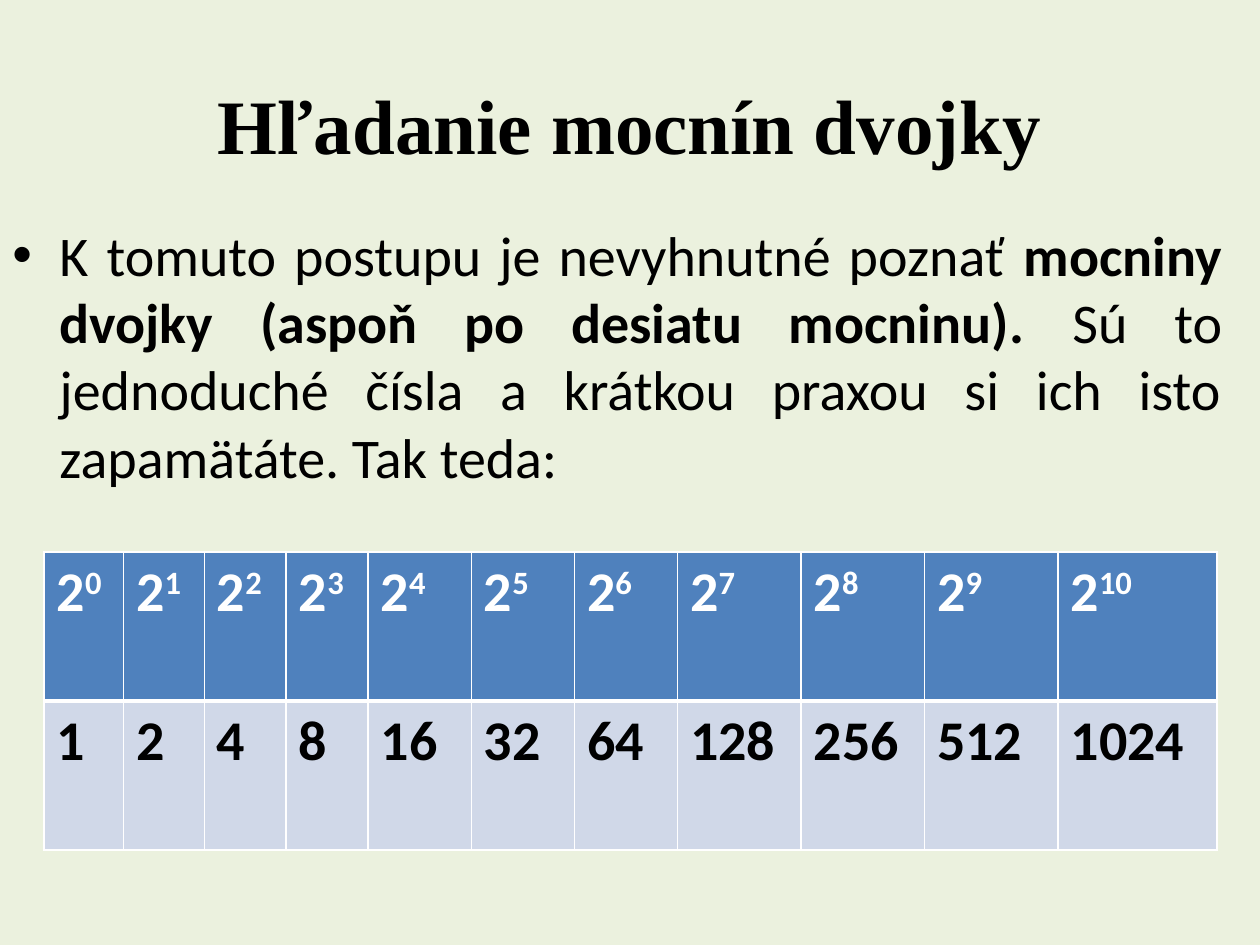
from typing import NamedTuple

from lxml import etree
from pptx import Presentation
from pptx.dml.color import RGBColor
from pptx.enum.text import MSO_ANCHOR, MSO_AUTO_SIZE, PP_ALIGN
from pptx.oxml.ns import qn
from pptx.util import Cm, Pt

CENTER = PP_ALIGN.CENTER
JUSTIFY = PP_ALIGN.JUSTIFY
MIDDLE = MSO_ANCHOR.MIDDLE
FIXED = MSO_AUTO_SIZE.NONE

BLACK = RGBColor(0x00, 0x00, 0x00)
WHITE = RGBColor(0xFF, 0xFF, 0xFF)
CREAM = RGBColor(0xEB, 0xF1, 0xDE)
BLUE = RGBColor(0x4F, 0x81, 0xBD)
PALE = RGBColor(0xD0, 0xD8, 0xE8)


class Power(NamedTuple):
    exp: int
    width: float


class Look(NamedTuple):
    fill: RGBColor
    ink: RGBColor
    top: float
    bottom: float


WIDTHS = [1.6, 1.63, 1.65, 1.65, 2.08, 2.08, 2.08, 2.49, 2.49, 2.69, 3.2]
POWERS = [Power(exp, width) for exp, width in enumerate(WIDTHS)]
HEAD = Look(BLUE, WHITE, 1, 3)
BODY = Look(PALE, BLACK, 3, 1)
ROW = 3.0


def style(para, size: float, ink: RGBColor, name: str = "Calibri") -> None:
    para.font.size = Pt(size)
    para.font.name = name
    para.font.color.rgb = ink


def edge(cell, side: str, width: float) -> None:
    line = etree.SubElement(cell._tc.get_or_add_tcPr(), qn(f"a:ln{side}"), w=str(Pt(width)))
    fill = etree.SubElement(line, qn("a:solidFill"))
    etree.SubElement(fill, qn("a:srgbClr"), val=str(WHITE))


def draw_cell(cell, look: Look, base: str, power: str = "") -> None:
    for side, width in (("L", 1), ("R", 1), ("T", look.top), ("B", look.bottom)):
        edge(cell, side, width)
    cell.fill.solid()
    cell.fill.fore_color.rgb = look.fill
    para = cell.text_frame.paragraphs[0]
    style(para, 32, look.ink)
    para.font.bold = True
    para.add_run().text = base
    if power:
        run = para.add_run()
        run.text = power
        run._r.get_or_add_rPr().set("baseline", "30000")


def draw_title(slide) -> None:
    title = slide.shapes.title
    title.left, title.top = Cm(1.27), Cm(0.76)
    title.width, title.height = Cm(22.86), Cm(3.18)
    frame = title.text_frame
    frame.text = "Hľadanie mocnín dvojky"
    frame.auto_size = FIXED
    frame.vertical_anchor = MIDDLE
    para = frame.paragraphs[0]
    para.alignment = CENTER
    para.line_spacing = 1.15
    para.space_after = Pt(10)
    style(para, 44, BLACK, "Times New Roman")
    para.font.bold = True


def draw_text(slide) -> None:
    frame = slide.shapes.add_textbox(Cm(0), Cm(4.32), Cm(24.89), Cm(12.57)).text_frame
    frame.word_wrap = True
    para = frame.paragraphs[0]
    para.alignment = JUSTIFY
    props = para._p.get_or_add_pPr()
    props.set("marL", str(Cm(0.95)))
    props.set("indent", str(-Cm(0.95)))
    etree.SubElement(props, qn("a:buFont"), typeface="Arial")
    etree.SubElement(props, qn("a:buChar"), char="•")
    style(para, 32, BLACK)
    for text, bold in (
        ("K tomuto postupu je nevyhnutné poznať ", False),
        ("mocniny dvojky (aspoň po desiatu mocninu). ", True),
        ("Sú to jednoduché čísla a krátkou praxou si ich isto zapamätáte. Tak teda:", False),
    ):
        run = para.add_run()
        run.text = text
        run.font.bold = bold


def draw_table(slide) -> None:
    total = sum(power.width for power in POWERS)
    table = slide.shapes.add_table(
        2, len(POWERS), Cm(0.89), Cm(11.13), Cm(total), Cm(2 * ROW)
    ).table
    for row in table.rows:
        row.height = Cm(ROW)
    for col, power in enumerate(POWERS):
        table.columns[col].width = Cm(power.width)
        draw_cell(table.cell(0, col), HEAD, "2", str(power.exp))
        draw_cell(table.cell(1, col), BODY, str(2 ** power.exp))


def main() -> None:
    deck = Presentation()
    deck.slide_width, deck.slide_height = Cm(25.4), Cm(19.05)
    slide = deck.slides.add_slide(deck.slide_layouts[5])
    slide.background.fill.solid()
    slide.background.fill.fore_color.rgb = CREAM
    draw_title(slide)
    draw_text(slide)
    draw_table(slide)
    deck.save("out.pptx")


if __name__ == "__main__":
    main()
